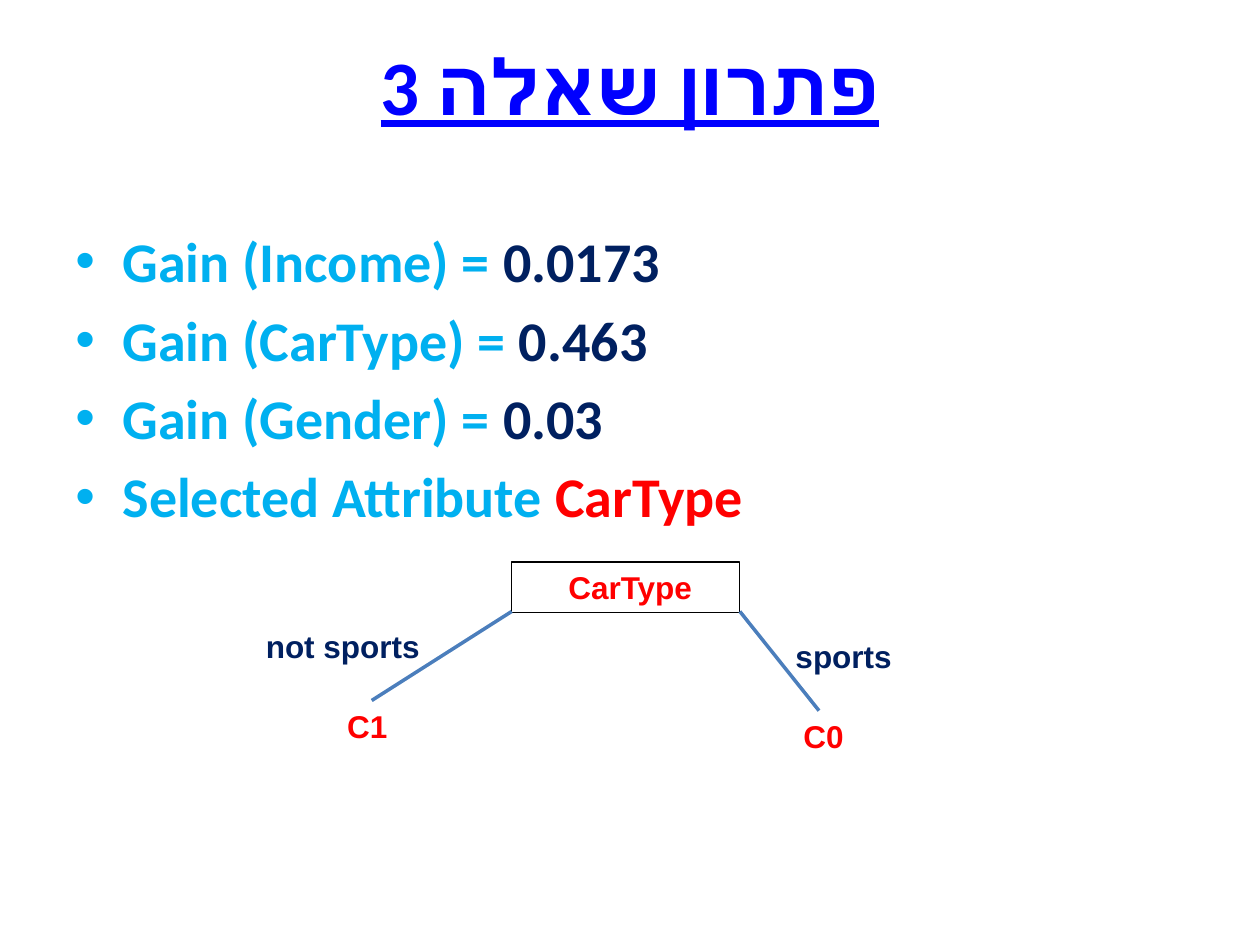
from lxml.etree import SubElement
from pptx import Presentation
from pptx.dml.color import RGBColor
from pptx.enum.shapes import MSO_CONNECTOR, MSO_SHAPE
from pptx.enum.text import MSO_ANCHOR, PP_ALIGN
from pptx.oxml.ns import qn
from pptx.util import Pt

COLORS = {
    "title": "0000FF",
    "label": "00B0F0",
    "value": "002060",
    "chosen": "FF0000",
    "branch": "4B7EBC",
    "border": "000000",
}
GAINS = [
    ("Gain (Income) = ", "0.0173", "value"),
    ("Gain (CarType) = ", "0.463", "value"),
    ("Gain (Gender) = ", "0.03", "value"),
    ("Selected Attribute ", "CarType", "chosen"),
]
NODE_WIDTH, NODE_HEIGHT = 130.4, 28.8
ROOT_LEFT, ROOT_TOP = 292.4, 321.2
BRANCH_TOP = 349.4


def rgb(name):
    return RGBColor.from_string(COLORS[name])


def add_run(paragraph, text, size, font, color, underline=None):
    run = paragraph.add_run()
    run.text = text
    run.font.size = Pt(size)
    run.font.name = font
    run.font.bold = True
    run.font.underline = underline
    run.font.color.rgb = rgb(color)
    SubElement(run.font._element, qn("a:cs"), typeface=font)


def center_rtl(paragraph):
    paragraph.alignment = PP_ALIGN.CENTER
    paragraph._p.get_or_add_pPr().set("rtl", "1")


def add_bullet(paragraph):
    properties = paragraph._p.get_or_add_pPr()
    properties.set("marL", str(Pt(27)))
    properties.set("indent", str(-Pt(27)))
    SubElement(properties, qn("a:buFont"), typeface="Arial")
    SubElement(properties, qn("a:buChar"), char="•")


def add_text_frame(slide, left, top, width, height):
    frame = slide.shapes.add_textbox(
        Pt(left), Pt(top), Pt(width), Pt(height)).text_frame
    frame.word_wrap = True
    return frame


def add_title(slide, text):
    frame = add_text_frame(slide, 36, 3.6, 648, 90)
    frame.vertical_anchor = MSO_ANCHOR.MIDDLE
    heading = frame.paragraphs[0]
    center_rtl(heading)
    add_run(heading, text, 44, "Calibri", "title", underline=True)


def add_gains(slide):
    frame = add_text_frame(slide, 36, 126, 648, 356.4)
    for index, (label, value, color) in enumerate(GAINS):
        line = frame.add_paragraph() if index else frame.paragraphs[0]
        line.space_before = Pt(6.4)
        add_bullet(line)
        add_run(line, label, 32, "Calibri", "label")
        add_run(line, value, 32, "Calibri", color)


def write_node(frame, text, color):
    caption = frame.paragraphs[0]
    center_rtl(caption)
    add_run(caption, text, 18, "Arial", color)


def add_root(slide, text):
    root = slide.shapes.add_shape(
        MSO_SHAPE.RECTANGLE, Pt(ROOT_LEFT), Pt(ROOT_TOP),
        Pt(NODE_WIDTH), Pt(NODE_HEIGHT))
    root.shadow.inherit = False
    root.fill.background()
    root.line.color.rgb = rgb("border")
    root.line.width = Pt(0.75)
    root.text_frame.word_wrap = True
    write_node(root.text_frame, text, "chosen")


def add_branch(slide, start, end):
    branch = slide.shapes.add_connector(
        MSO_CONNECTOR.STRAIGHT, *(Pt(value) for value in (*start, *end)))
    branch.line.color.rgb = rgb("branch")
    branch.line.width = Pt(2)
    SubElement(branch._element.spPr, qn("a:effectLst"))


def add_label(slide, left, top, text, color):
    frame = add_text_frame(slide, left, top, NODE_WIDTH, NODE_HEIGHT)
    write_node(frame, text, color)


def add_tree(slide):
    add_root(slide, "CarType ")
    add_branch(slide, (212.4, 400.3), (ROOT_LEFT, BRANCH_TOP))
    add_branch(slide, (468, 406.1), (ROOT_LEFT + NODE_WIDTH, BRANCH_TOP))
    add_label(slide, 416.9, 360.7, "sports", "value")
    add_label(slide, 133.2, 355, " not sports", "value")
    add_label(slide, 405.4, 406.1, "C0", "chosen")
    add_label(slide, 144.7, 400.3, "C1", "chosen")


def main():
    deck = Presentation()
    deck.slide_width, deck.slide_height = Pt(720), Pt(540)
    slide = deck.slides.add_slide(deck.slide_layouts[6])
    add_title(slide, "פתרון שאלה 3")
    add_gains(slide)
    add_tree(slide)
    deck.save("out.pptx")


if __name__ == "__main__":
    main()
